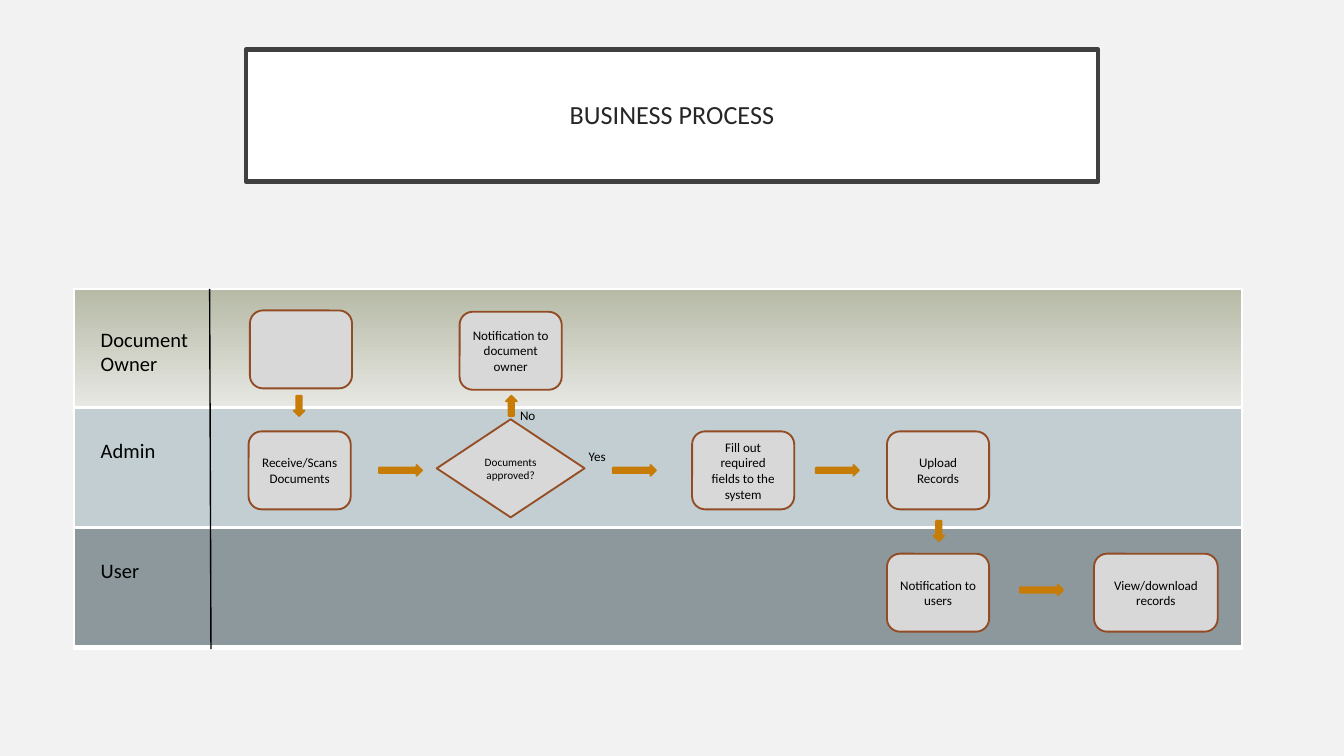
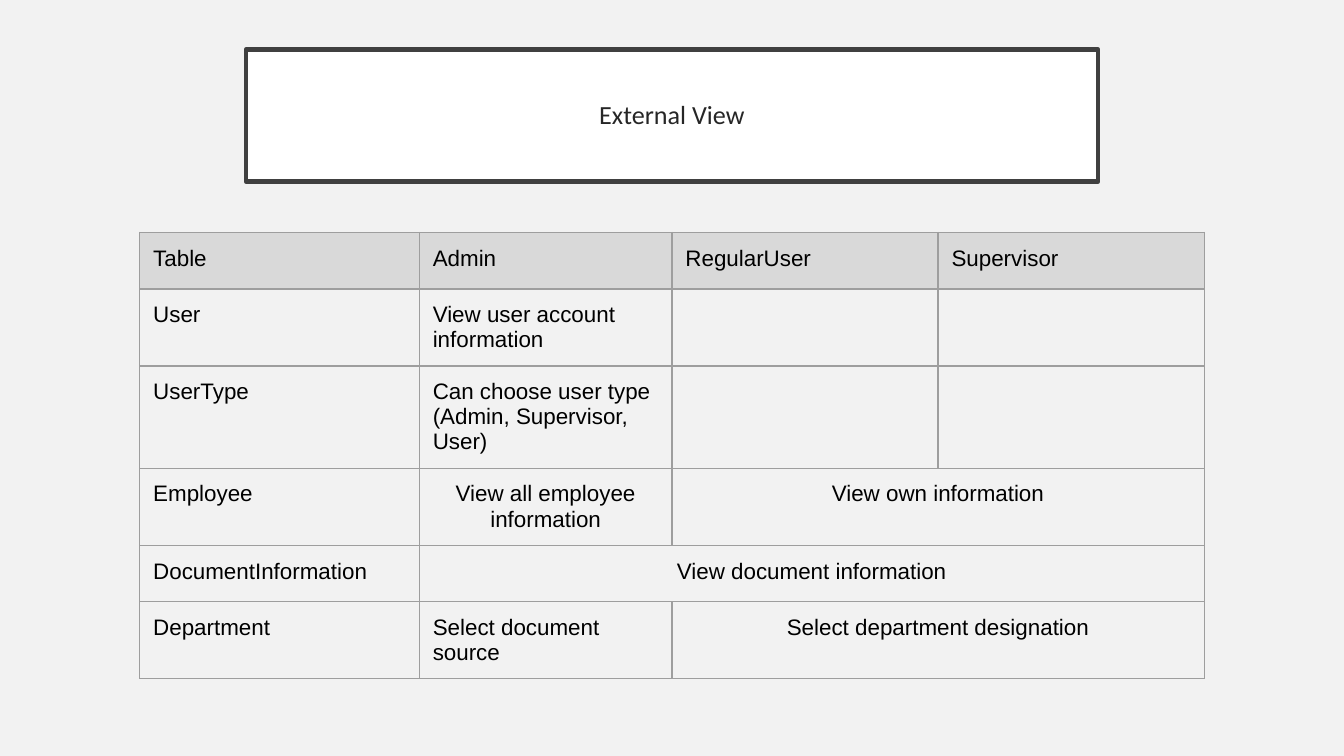
from lxml.etree import SubElement
from pptx import Presentation
from pptx.dml.color import RGBColor
from pptx.enum.shapes import MSO_CONNECTOR, MSO_SHAPE
from pptx.enum.text import MSO_ANCHOR, MSO_AUTO_SIZE, PP_ALIGN
from pptx.oxml import parse_xml
from pptx.oxml.ns import nsdecls, qn
from pptx.util import Inches, Pt

THEME = {
    "background": RGBColor.from_string("F2F2F2"),
    "white": RGBColor.from_string("FFFFFF"),
    "title_line": RGBColor.from_string("404040"),
    "title_text": RGBColor.from_string("262626"),
    "text": RGBColor.from_string("000000"),
    "step": RGBColor.from_string("D8D8D8"),
    "step_line": RGBColor.from_string("924B23"),
    "decision_line": RGBColor.from_string("964D24"),
    "arrow": RGBColor.from_string("C67C07"),
    "header": RGBColor.from_string("D9D9D9"),
    "lane_top": RGBColor.from_string("B6BAA6"),
    "lane_bottom": RGBColor.from_string("E8E8E4"),
    "admin_lane": RGBColor.from_string("C2CED1"),
    "user_lane": RGBColor.from_string("8D989D"),
    "font": "Calibri",
    "table_font": "Arial",
    "title_size": Pt(14),
    "table_size": Pt(12),
    "lane_size": Pt(11),
    "step_size": Pt(7),
    "decision_size": Pt(6),
}
SMALL_INSETS = (0.07, 0.04)


def write(holder, text, size, alignment=PP_ALIGN.LEFT, font="font", color="text",
          insets=SMALL_INSETS, anchor=MSO_ANCHOR.TOP):
    """Fill a shape or table cell with one formatted paragraph."""
    frame = holder.text_frame
    frame.word_wrap = True
    frame.text = text
    # A cell keeps its margins and anchor itself; a shape keeps them in its frame.
    body = holder if hasattr(holder, "is_merge_origin") else frame
    across, down = Inches(insets[0]), Inches(insets[1])
    body_format = {"margin_left": across, "margin_right": across, "margin_top": down,
                   "margin_bottom": down, "vertical_anchor": anchor}
    for name, value in body_format.items():
        setattr(body, name, value)
    paragraph = frame.paragraphs[0]
    paragraph.alignment = alignment
    for name, value in {"name": THEME[font], "size": THEME[size]}.items():
        setattr(paragraph.font, name, value)
    paragraph.font.color.rgb = THEME[color]


def set_borders(cell, color, widths):
    """Draw the left, right, top and bottom borders, with widths in points."""
    properties = cell._tc.get_or_add_tcPr()
    for index, (side, width) in enumerate(zip("LRTB", widths)):
        border = parse_xml(
            f'<a:ln{side} {nsdecls("a")} w="{Pt(width)}"><a:solidFill>'
            f'<a:srgbClr val="{color}"/></a:solidFill></a:ln{side}>')
        properties.insert(index, border)


presentation = Presentation()
presentation.slide_width = Inches(10)
presentation.slide_height = Inches(5.625)
background = presentation.slide_master.background.fill
background.solid()
background.fore_color.rgb = THEME["background"]

slides = []
for title_text in ("BUSINESS PROCESS", "External View"):
    slide = presentation.slides.add_slide(presentation.slide_layouts[5])
    title = slide.shapes.title
    title_place = {"left": 1.83, "top": 0.37, "width": 6.34, "height": 0.98}
    for name, value in title_place.items():
        setattr(title, name, Inches(value))
    title.fill.solid()
    title.fill.fore_color.rgb = THEME["white"]
    title.line.color.rgb = THEME["title_line"]
    title.line.width = Pt(2.5)
    write(title, title_text, "title_size", PP_ALIGN.CENTER, color="title_text",
          insets=(0.15, 0.15), anchor=MSO_ANCHOR.MIDDLE)
    title.text_frame.auto_size = MSO_AUTO_SIZE.NONE
    title.text_frame.paragraphs[0].line_spacing = 0.9
    slides.append(slide)
process_slide, view_slide = slides

# Swimlanes
LANES_TOP, LANE_HEIGHT = 2.15, 0.89
for index, lane_color in enumerate((None, "admin_lane", "user_lane")):
    lane = process_slide.shapes.add_table(
        1, 1, Inches(0.55), Inches(LANES_TOP + index * LANE_HEIGHT),
        Inches(8.69), Inches(LANE_HEIGHT)).table
    lane.first_row = lane.horz_banding = False
    cell = lane.cell(0, 0)
    if lane_color:
        cell.fill.solid()
        cell.fill.fore_color.rgb = THEME[lane_color]
    else:
        cell.fill.gradient()
        cell.fill.gradient_angle = 270
        for stop, name in zip(cell.fill.gradient_stops, ("lane_top", "lane_bottom")):
            stop.color.rgb = THEME[name]
    set_borders(cell, THEME["white"], (1, 1, 1, 3))

labels = [
    ("Document Owner", 0.68, 2.39, 1.03, 0.43, "lane_size"),
    ("Admin", 0.68, 3.22, 1.03, 0.25, "lane_size"),
    ("User", 0.68, 4.11, 1.03, 0.25, "lane_size"),
    ("No", 3.8, 2.99, 0.34, 0.19, "step_size"),
    ("Yes", 4.31, 3.3, 0.29, 0.19, "step_size"),
]
for text, left, top, width, height, size in labels:
    label = process_slide.shapes.add_textbox(
        Inches(left), Inches(top), Inches(width), Inches(height))
    write(label, text, size)

divider = process_slide.shapes.add_connector(
    MSO_CONNECTOR.STRAIGHT, Inches(1.56), Inches(LANES_TOP), Inches(1.57), Inches(4.83))
divider.line.color.rgb = THEME["text"]
divider.line.width = Pt(0.75)
SubElement(divider._element.spPr, qn("a:effectLst"))

# Process steps: text, left, top, width
STEP_WIDTH, STEP_HEIGHT = 0.76, 0.58
steps = [
    ("", 1.86, 2.31, STEP_WIDTH),
    ("Notification to document owner", 3.42, 2.32, STEP_WIDTH),
    ("Receive/Scans Documents", 1.85, 3.21, STEP_WIDTH),
    ("Fill out required fields to the system", 5.15, 3.21, STEP_WIDTH),
    ("Upload Records", 6.6, 3.21, STEP_WIDTH),
    ("Notification to users", 6.6, 4.12, STEP_WIDTH),
    ("View/download records", 8.14, 4.12, 0.92),
]
nodes = [(MSO_SHAPE.ROUNDED_RECTANGLE, *step, STEP_HEIGHT, "step_size", "step_line")
         for step in steps]
nodes.append((MSO_SHAPE.FLOWCHART_DECISION, "Documents approved?", 3.25, 3.12, 1.1, 0.73,
              "decision_size", "decision_line"))
for kind, text, left, top, width, height, size, line_color in nodes:
    node = process_slide.shapes.add_shape(
        kind, Inches(left), Inches(top), Inches(width), Inches(height))
    node.shadow.inherit = False
    node.fill.solid()
    node.fill.fore_color.rgb = THEME["step"]
    node.line.color.rgb = THEME[line_color]
    node.line.width = Pt(1)
    write(node, text, size, PP_ALIGN.CENTER, anchor=MSO_ANCHOR.MIDDLE)

# Block arrows: left, top, length, rotation
LONG, SHORT = 0.32, 0.15
arrows = [
    (2.82, 3.46, LONG, 0), (4.56, 3.46, LONG, 0), (6.07, 3.46, LONG, 0),
    (7.59, 4.35, LONG, 0),
    (2.15, 2.98, SHORT, 90), (3.73, 2.98, SHORT, 270), (6.91, 3.91, SHORT, 90),
]
for left, top, length, rotation in arrows:
    arrow = process_slide.shapes.add_shape(
        MSO_SHAPE.RIGHT_ARROW, Inches(left), Inches(top), Inches(length), Inches(0.08))
    arrow.rotation = rotation
    arrow.shadow.inherit = False
    arrow.fill.solid()
    arrow.fill.fore_color.rgb = THEME["arrow"]
    arrow.line.color.rgb = THEME["arrow"]
    arrow.line.width = Pt(1)

# Access by role
access_rows = [
    ("Table", "Admin", "RegularUser", "Supervisor"),
    ("User", "View user account information", "", ""),
    ("UserType", "Can choose user type (Admin, Supervisor, User)", "", ""),
    ("Employee", "View all employee information", "View own information", ""),
    ("DocumentInformation", "View document information", "", ""),
    ("Department", "Select document source", "Select department designation", ""),
]
merged_from = {3: 2, 4: 1, 5: 2}
centered = {(3, 1), *merged_from.items()}
column_widths = (2.08, 1.88, 1.98, 1.98)
ROW_HEIGHT = 0.42
access = view_slide.shapes.add_table(
    len(access_rows), len(column_widths), Inches(1.04), Inches(1.73),
    Inches(sum(column_widths)), Inches(ROW_HEIGHT * len(access_rows))).table
access.first_row = access.horz_banding = False
for column, width in zip(access.columns, column_widths):
    column.width = Inches(width)
for row_index, row in enumerate(access_rows):
    for column_index, text in enumerate(row):
        cell = access.cell(row_index, column_index)
        alignment = (PP_ALIGN.CENTER if (row_index, column_index) in centered
                     else PP_ALIGN.LEFT)
        write(cell, text, "table_size", alignment, font="table_font", insets=(0.1, 0.1))
        if row_index == 0:
            cell.fill.solid()
            cell.fill.fore_color.rgb = THEME["header"]
        else:
            cell.fill.background()
        set_borders(cell, "9E9E9E", (0.75,) * 4)
for row_index, first_column in merged_from.items():
    access.cell(row_index, first_column).merge(access.cell(row_index, 3))

presentation.save("out.pptx")
